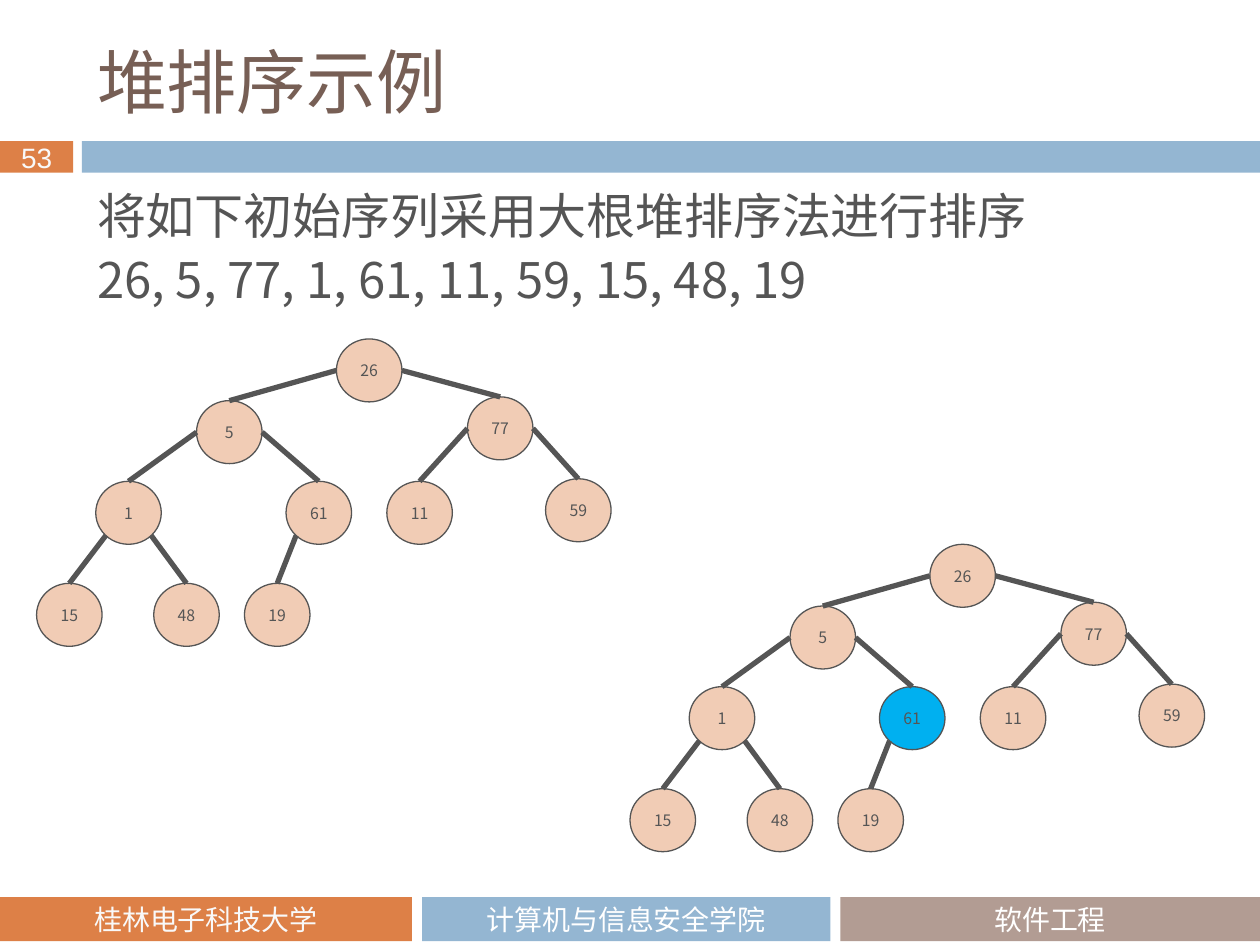
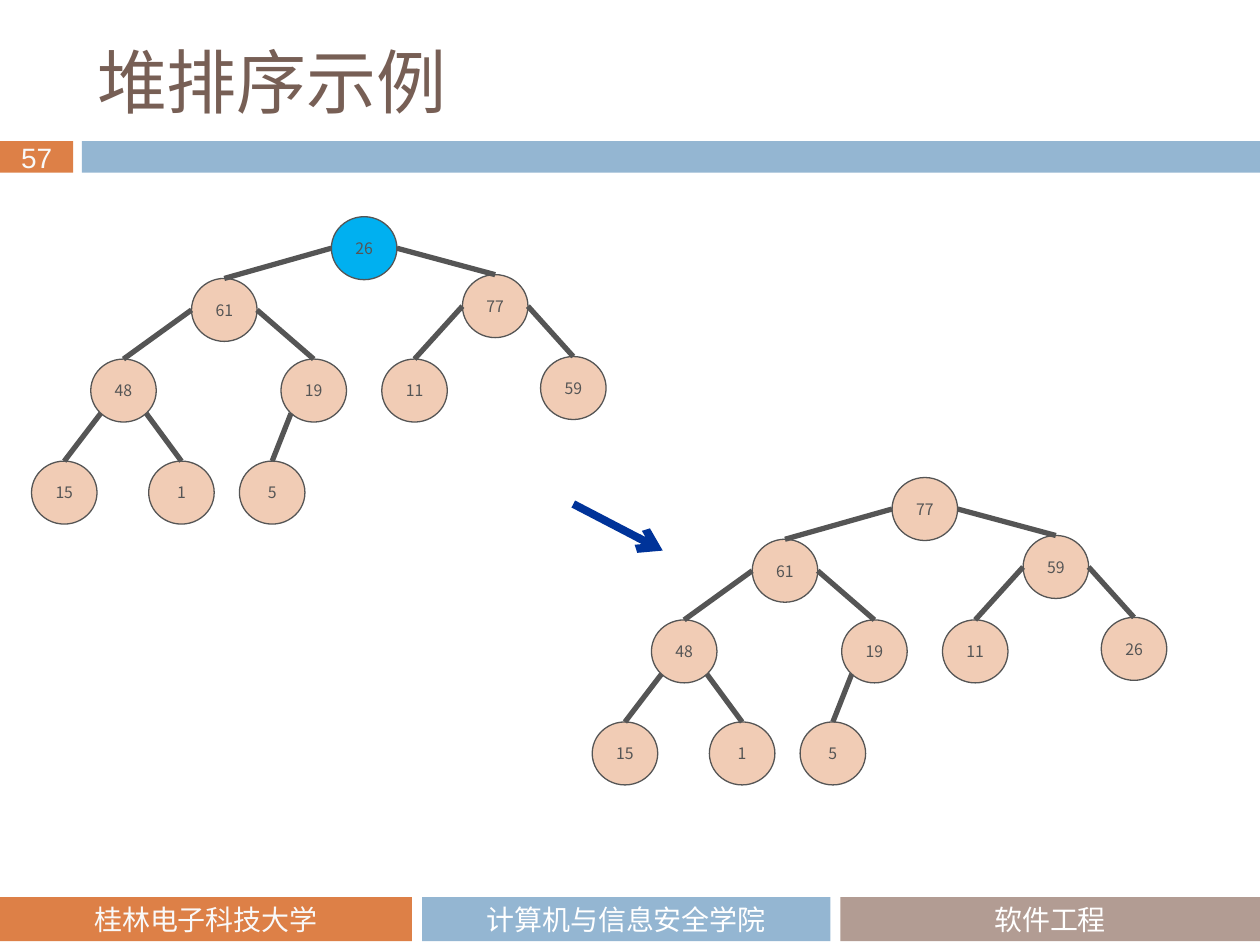
from lxml.etree import SubElement
from pptx import Presentation
from pptx.dml.color import RGBColor
from pptx.enum.shapes import MSO_CONNECTOR, MSO_SHAPE
from pptx.enum.text import MSO_ANCHOR, MSO_AUTO_SIZE, PP_ALIGN
from pptx.oxml.ns import qn
from pptx.util import Inches, Pt

ORANGE = RGBColor(0xDD, 0x80, 0x47)
BLUE = RGBColor(0x94, 0xB6, 0xD2)
TAUPE = RGBColor(0xB2, 0x9C, 0x93)
BROWN = RGBColor(0x77, 0x5F, 0x55)
GRAY = RGBColor(0x55, 0x55, 0x55)
PEACH = RGBColor(0xF1, 0xCC, 0xB5)
HIGHLIGHT = RGBColor(0x00, 0xB0, 0xF0)
NAVY = RGBColor(0x00, 0x33, 0x99)
WHITE = RGBColor(0xFF, 0xFF, 0xFF)
OFF_WHITE = RGBColor(0xF9, 0xF9, 0xF9)
BODY_FONT = "Noto Sans CJK SC"

BANDS = [
    (0.65, 1.12, 9.35, 0.25, BLUE, "", WHITE),
    (0, 7.12, 3.27, 0.35, ORANGE, "桂林电子科技大学", OFF_WHITE),
    (3.35, 7.12, 3.24, 0.35, BLUE, "计算机与信息安全学院", WHITE),
    (6.67, 7.12, 3.33, 0.35, TAUPE, "软件工程", WHITE),
]

NODE_WIDTH, NODE_HEIGHT = 0.52, 0.5
NODE_OFFSETS = [
    (0, 0),
    (-1.11, 0.49), (1.04, 0.46),
    (-1.91, 1.13), (-0.4, 1.13), (0.4, 1.13), (1.66, 1.11),
    (-2.38, 1.94), (-1.45, 1.94), (-0.73, 1.94),
]
FIRST_LEAF_ROW_NODE = 7

SLIDES = [
    {
        "number": "53",
        "layout": 1,
        "body": ["将如下初始序列采用大根堆排序法进行排序",
                 "26, 5, 77, 1, 61, 11, 59, 15, 48, 19"],
        "trees": [
            (2.67, 2.69, [26, 5, 77, 1, 61, 11, 59, 15, 48, 19], None),
            (7.38, 4.32, [26, 5, 77, 1, 61, 11, 59, 15, 48, 19], 4),
        ],
        "arrow": None,
    },
    {
        "number": "57",
        "layout": 5,
        "body": [],
        "trees": [
            (2.63, 1.72, [26, 61, 77, 48, 19, 11, 59, 15, 1, 5], 0),
            (7.08, 3.79, [77, 61, 59, 48, 19, 11, 26, 15, 1, 5], None),
        ],
        "arrow": (4.55, 4, 5.26, 4.37),
    },
]


def add_run(paragraph, text, font_name, size, color):
    run = paragraph.add_run()
    run.text = text
    run.font.size = Pt(size)
    run.font.color.rgb = color
    run.font.name = font_name
    SubElement(run._r.get_or_add_rPr(), qn("a:ea"), typeface=font_name)


def add_line(shapes, begin_x, begin_y, end_x, end_y, color, width):
    line = shapes.add_connector(MSO_CONNECTOR.STRAIGHT, Inches(begin_x), Inches(begin_y),
                                Inches(end_x), Inches(end_y))
    line.line.color.rgb = color
    line.line.width = Pt(width)
    SubElement(line._element.spPr, qn("a:effectLst"))
    return line


presentation = Presentation()
presentation.slide_width = Inches(10)
presentation.slide_height = Inches(7.5)

for content in SLIDES:
    slide = presentation.slides.add_slide(presentation.slide_layouts[content["layout"]])

    number_band = (0, 1.12, 0.58, 0.25, ORANGE, content["number"], OFF_WHITE)
    for left, top, width, height, fill, text, text_color in [number_band] + BANDS:
        band = slide.shapes.add_shape(MSO_SHAPE.RECTANGLE, Inches(left), Inches(top),
                                      Inches(width), Inches(height))
        band.shadow.inherit = False
        band.fill.solid()
        band.fill.fore_color.rgb = fill
        band.line.fill.background()
        if text:
            frame = band.text_frame
            frame.margin_left = frame.margin_right = 0
            frame.margin_top = frame.margin_bottom = 0
            frame.vertical_anchor = MSO_ANCHOR.MIDDLE
            frame.paragraphs[0].alignment = PP_ALIGN.CENTER
            font_name = "Arial" if text.isdigit() else "Cabin"
            add_run(frame.paragraphs[0], text, font_name, 16, text_color)

    title = slide.shapes.title
    title.left, title.top = Inches(0.67), Inches(0.25)
    title.width, title.height = Inches(8.92), Inches(0.78)
    title.text_frame.auto_size = MSO_AUTO_SIZE.NONE
    title.text_frame.vertical_anchor = MSO_ANCHOR.MIDDLE
    title.text_frame.paragraphs[0].alignment = PP_ALIGN.LEFT
    add_run(title.text_frame.paragraphs[0], "堆排序示例", "Noto Sans CJK JP", 40, BROWN)

    if content["body"]:
        body = slide.placeholders[1]
        body.left, body.top = Inches(0.67), Inches(1.47)
        body.width, body.height = Inches(8.92), Inches(1.1)
        frame = body.text_frame
        frame.auto_size = MSO_AUTO_SIZE.NONE
        for index, text in enumerate(content["body"]):
            paragraph = frame.add_paragraph() if index else frame.paragraphs[0]
            properties = paragraph._p.get_or_add_pPr()
            properties.set("marL", "0")
            properties.set("indent", "0")
            SubElement(properties, qn("a:buNone"))
            paragraph.line_spacing = Pt(30)
            paragraph.space_before = Pt(7 if index else 0)
            add_run(paragraph, text, BODY_FONT, 28, GRAY)

    for root_left, root_top, values, highlighted in content["trees"]:
        tree = slide.shapes.add_group_shape().shapes
        centers = []
        for index, (offset_x, offset_y) in enumerate(NODE_OFFSETS):
            left, top = root_left + offset_x, root_top + offset_y
            centers.append((left + NODE_WIDTH / 2, top + NODE_HEIGHT / 2))
            node = tree.add_shape(MSO_SHAPE.OVAL, Inches(left), Inches(top),
                                  Inches(NODE_WIDTH), Inches(NODE_HEIGHT))
            node.shadow.inherit = False
            node.fill.solid()
            node.fill.fore_color.rgb = HIGHLIGHT if index == highlighted else PEACH
            node.line.color.rgb = GRAY
            node.line.width = Pt(0.75)
            frame = node.text_frame
            frame.word_wrap = False
            frame.vertical_anchor = MSO_ANCHOR.MIDDLE
            frame.paragraphs[0].alignment = PP_ALIGN.CENTER
            add_run(frame.paragraphs[0], str(values[index]), BODY_FONT, 9, GRAY)

        for child in range(1, len(centers)):
            parent_x, parent_y = centers[(child - 1) // 2]
            child_x, child_y = centers[child]
            side = -1 if child % 2 else 1
            if child < FIRST_LEAF_ROW_NODE:
                reach, drop = NODE_WIDTH / 2, 0
            else:
                reach, drop = 0.18, 0.18
            add_line(tree, parent_x + side * reach, parent_y + drop,
                     child_x, child_y - NODE_HEIGHT / 2, GRAY, 3)

    if content["arrow"]:
        arrow = add_line(slide.shapes, *content["arrow"], NAVY, 4.5)
        SubElement(arrow.line._get_or_add_ln(), qn("a:tailEnd"), type="arrow")

presentation.save("out.pptx")
